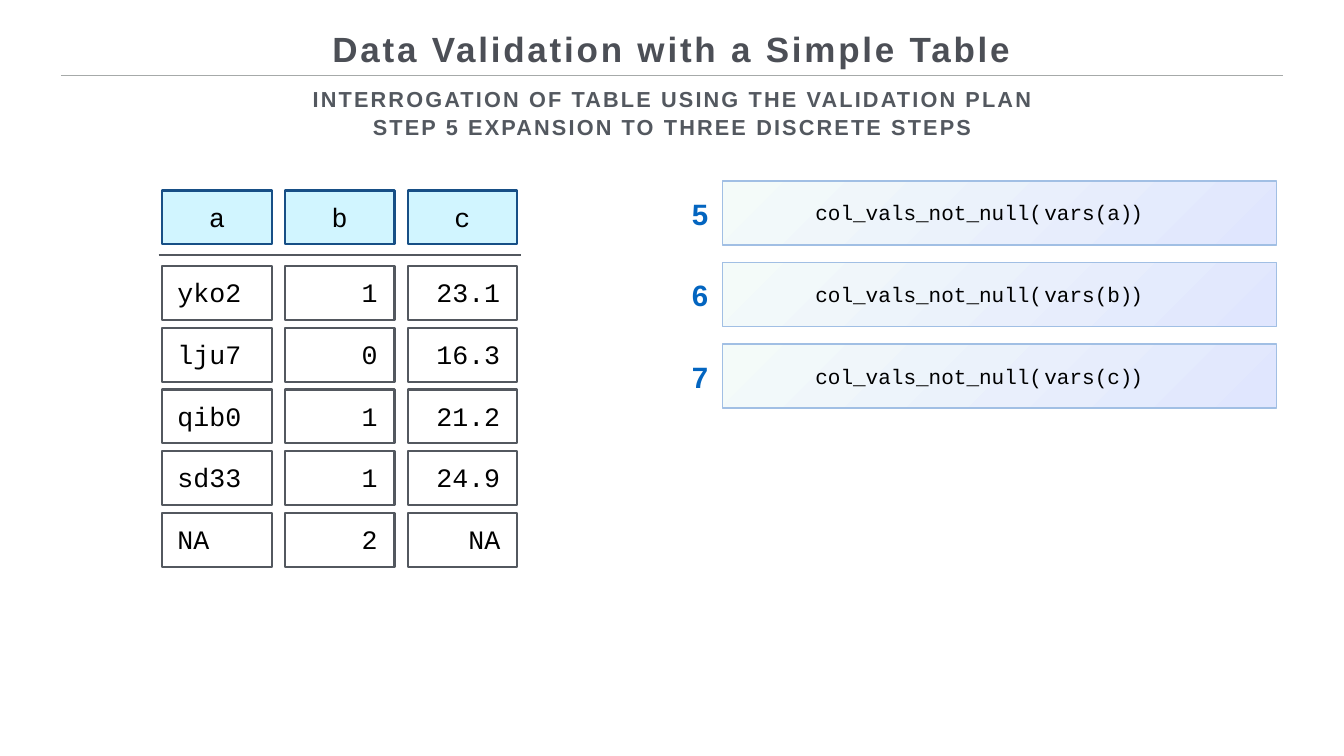
"""Build the slide on validating a simple table with three expanded steps."""
from dataclasses import dataclass

from lxml import etree
from pptx import Presentation
from pptx import util as u
from pptx.dml.color import RGBColor
from pptx.enum import shapes, text
from pptx.oxml import ns

TITLE = "Data Validation with a Simple Table"
SUBTITLES = [
    "INTERROGATION OF TABLE USING THE VALIDATION PLAN",
    "STEP 5 EXPANSION TO THREE DISCRETE STEPS",
]
COLUMNS = [
    ("a", "l", ["yko2", "lju7", "qib0", "sd33", "NA"]),
    ("b", "r", ["1", "0", "1", "1", "2"]),
    ("c", "r", ["23.1", "16.3", "21.2", "24.9", "NA"]),
]
STEPS = [("5", "vars(a)"), ("6", "vars(b)"), ("7", "vars(c)")]
CALL_OPEN, CALL_CLOSE = "col_vals_not_null(", ")"


@dataclass(frozen=True)
class Theme:
    """Fonts, type sizes and colours."""
    sans: str = "Arial"
    mono: str = "Courier New"
    title: int = 50
    subtitle: int = 31
    cell: int = 38
    number: int = 42
    code: int = 30
    ink: str = "000000"
    heading: str = "4C4F56"
    grey: str = "53585F"
    rule: str = "A6AAA9"
    header_fill: str = "A4EDFF"
    header_line: str = "174F86"
    accent: str = "0365C0"
    step_line: str = "A1BFE4"
    step_dark: str = "E0E6FE"
    step_light: str = "F4FBF9"


T = Theme()
ALIGN = {"l": text.PP_ALIGN.LEFT, "c": text.PP_ALIGN.CENTER, "r": text.PP_ALIGN.RIGHT}
CELL_W, CELL_H, COL_PITCH, ROW_PITCH = 5.52, 2.72, 6.18, 3.11
TABLE_X, HEADER_Y, BODY_Y = 8.18, 9.6, 13.41
STEP_X, STEP_Y, STEP_W, STEP_H, STEP_PITCH = 36.4, 9.12, 27.94, 3.23, 4.11
CODE_X = (40.94, 52.48, 56.82)
INSET = 0.15


def rgb(value):
    return RGBColor.from_string(value)


def mono_width(words, size):
    return len(words) * size * 0.6 * 2.54 / 72 + 2 * INSET


def write(sp, words, size, color, font=T.sans, align="c", bold=False,
          spacing=0, anchor=text.MSO_ANCHOR.MIDDLE, wrap=True):
    tf = sp.text_frame
    tf.auto_size = text.MSO_AUTO_SIZE.NONE
    tf.word_wrap, tf.vertical_anchor = wrap, anchor
    tf.margin_left = tf.margin_right = tf.margin_top = tf.margin_bottom = u.Cm(INSET)
    p = tf.paragraphs[0]
    p.alignment = ALIGN[align]
    r = p.add_run()
    r.text = words
    r.font.name, r.font.size, r.font.bold = font, u.Pt(size), bold
    r.font.color.rgb = rgb(color)
    if spacing:
        r.font._element.set("spc", str(round(spacing * 100)))


def label(s, words, x, y, w, h, size, color, **fmt):
    sp = s.shapes.add_textbox(u.Cm(x), u.Cm(y), u.Cm(w), u.Cm(h))
    write(sp, words, size, color, **fmt)


def mono(s, words, x, y, h, size, align="l"):
    label(s, words, x, y, mono_width(words, size), h, size, T.ink, font=T.mono,
          align=align, anchor=text.MSO_ANCHOR.BOTTOM, wrap=False)


def box(s, x, y, w, h, line, width):
    sp = s.shapes.add_shape(shapes.MSO_SHAPE.RECTANGLE, u.Cm(x), u.Cm(y), u.Cm(w), u.Cm(h))
    sp.shadow.inherit = False
    sp.fill.background()
    sp.line.color.rgb, sp.line.width = rgb(line), u.Pt(width)
    return sp


def rule(s, x1, x2, y, color, width):
    ln = s.shapes.add_connector(shapes.MSO_CONNECTOR.STRAIGHT, u.Cm(x1), u.Cm(y), u.Cm(x2), u.Cm(y))
    ln.line.color.rgb, ln.line.width = rgb(color), u.Pt(width)
    etree.SubElement(ln._element.spPr, ns.qn("a:effectLst"))


def cell(s, words, x, y, align, header=False):
    sp = box(s, x, y, CELL_W, CELL_H, T.header_line if header else T.grey, 3)
    if header:
        sp.fill.solid()
        sp.fill.fore_color.rgb = rgb(T.header_fill)
        clr = sp._element.spPr.find(ns.qn("a:solidFill"))[0]
        etree.SubElement(clr, ns.qn("a:alpha")).set("val", "50000")
    slack = CELL_W - mono_width(words, T.cell)
    offset = {"l": 0.61, "c": slack / 2, "r": slack - 0.7}[align]
    mono(s, words, x + offset, y + 0.43, 1.83, T.cell, align)


def step(s, number, argument, y):
    label(s, number, 33.91, y + 0.61, 1.93, 2.06, T.number, T.accent, align="r", bold=True)
    sp = box(s, STEP_X, y, STEP_W, STEP_H, T.step_line, 2)
    sp.fill.gradient()
    sp.fill.gradient_angle = 135
    for stop, color in zip(sp.fill.gradient_stops, (T.step_dark, T.step_light)):
        stop.color.rgb = rgb(color)
    for words, x in zip((CALL_OPEN, argument, CALL_CLOSE), CODE_X):
        mono(s, words, x, y + 0.86, 1.52, T.code)


def main():
    prs = Presentation()
    prs.slide_width, prs.slide_height = u.Cm(67.73), u.Cm(38.1)
    s = prs.slides.add_slide(prs.slide_layouts[5])

    title = s.shapes.title
    title.left, title.top, title.width, title.height = map(u.Cm, (3.48, 1.24, 60.73, 2.39))
    write(title, TITLE, T.title, T.heading, bold=True, spacing=4)
    rule(s, 3.07, 64.67, 3.81, T.rule, 2)
    for i, words in enumerate(SUBTITLES):
        label(s, words, 10.29, 4.19 + 1.4 * i, 47.17, 1.6, T.subtitle, T.grey,
              bold=True, spacing=3.1)

    for i, (name, align, values) in enumerate(COLUMNS):
        x = TABLE_X + i * COL_PITCH
        cell(s, name, x, HEADER_Y, "c", header=True)
        for j, value in enumerate(values):
            cell(s, value, x, BODY_Y + j * ROW_PITCH, align)
    rule(s, 8, 26.24, 12.85, T.grey, 4)

    for i, (number, argument) in enumerate(STEPS):
        step(s, number, argument, STEP_Y + i * STEP_PITCH)

    prs.save("out.pptx")


if __name__ == "__main__":
    main()
